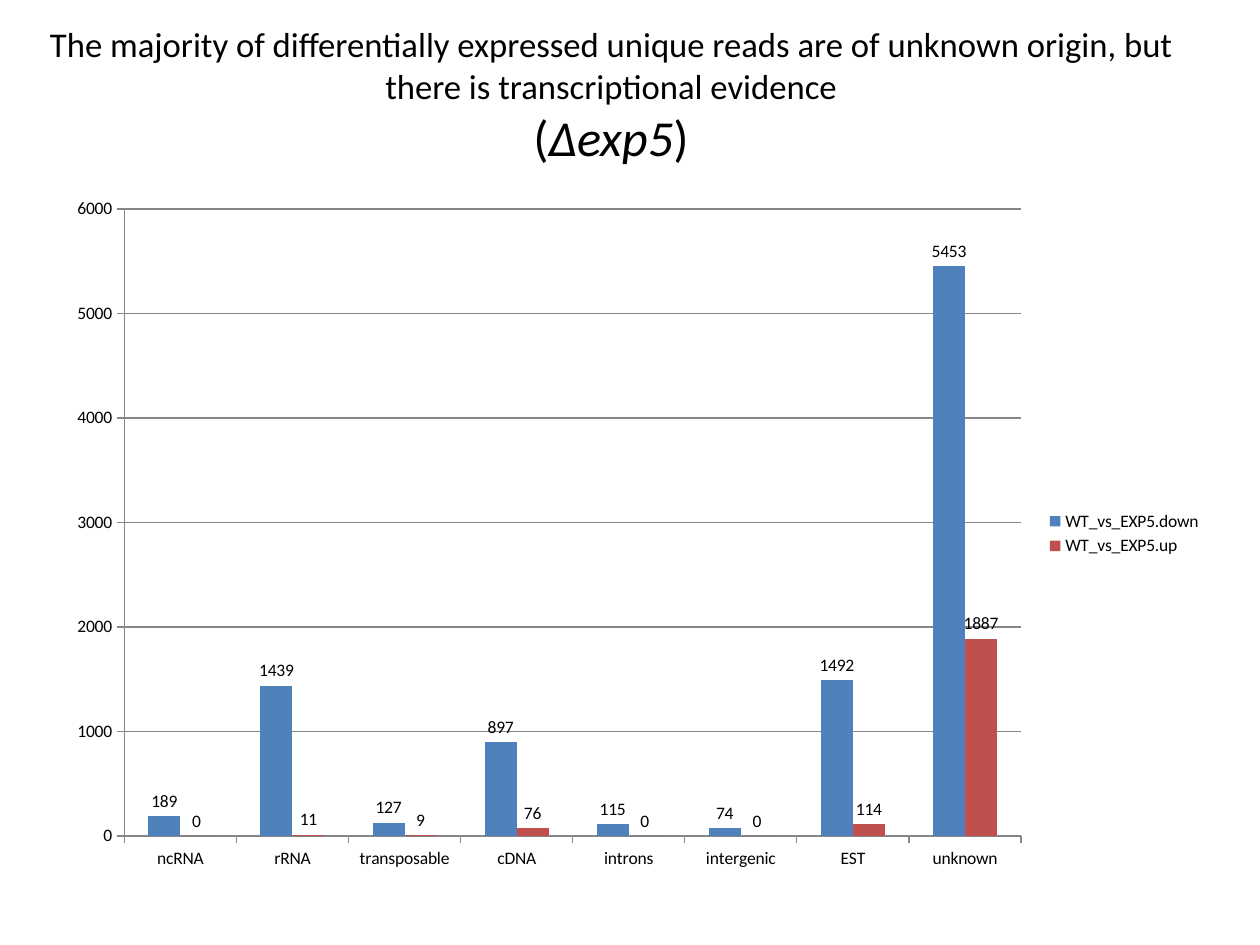
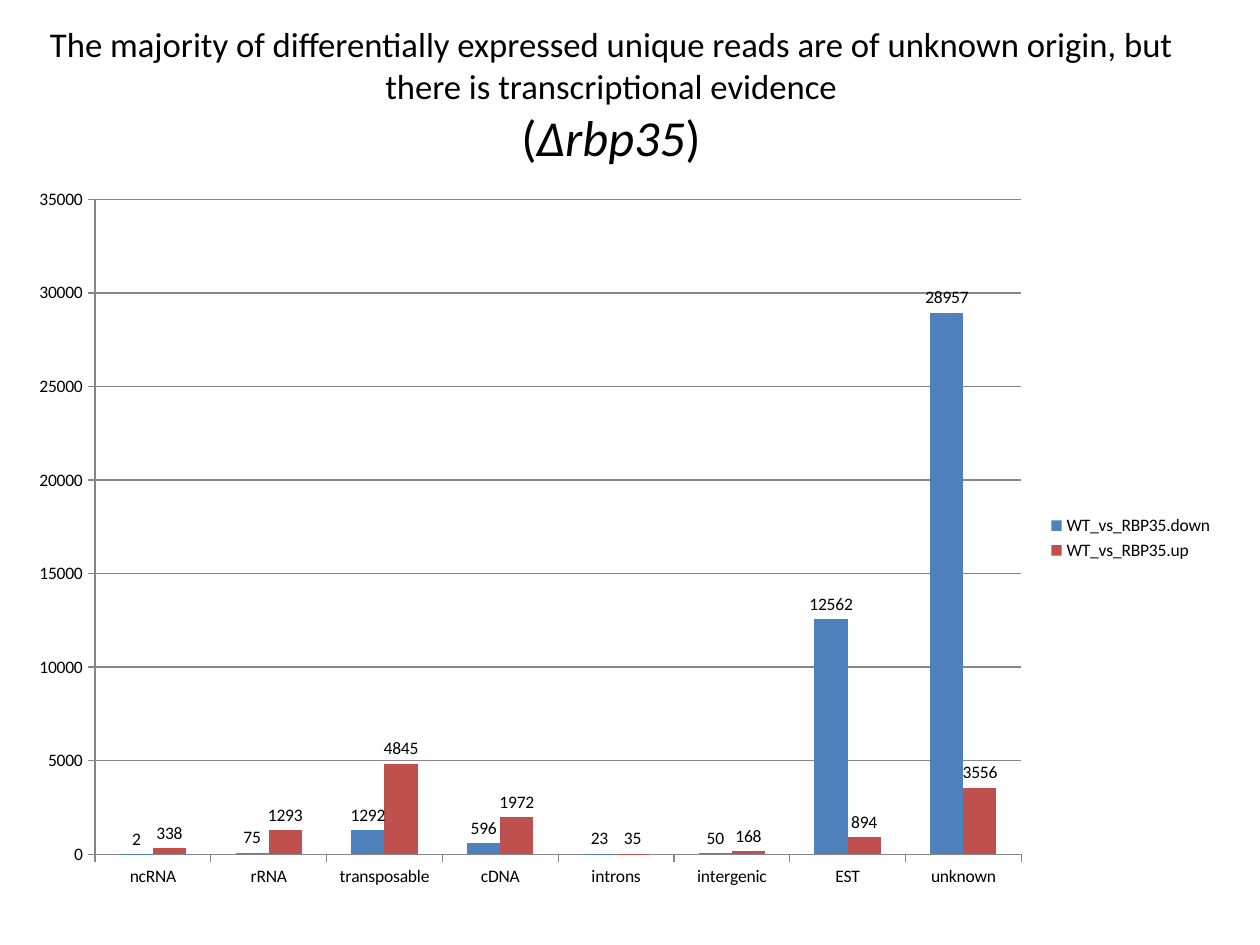
import pptx
import pptx.chart.data
import pptx.dml.color
import pptx.enum.chart
import pptx.enum.text
import pptx.util
from pptx.util import Inches

FONT = "Calibri"
COLORS = {"text": "000000", "down": "4F81BD", "up": "C0504D",
          "axis": "868686", "background": "FFFFFF"}
HEADLINE = ("The majority of differentially expressed unique reads are of "
            "unknown origin, but there is transcriptional evidence")
READ_ORIGINS = ["ncRNA", "rRNA", "transposable", "cDNA",
                "introns", "intergenic", "EST", "unknown"]
MUTANTS = [
    {"gene": "exp5", "box": (0.43, 1.47, 9.21, 5.53), "top": 6000, "step": 1000,
     "down": [189, 1439, 127, 897, 115, 74, 1492, 5453],
     "up": [0, 11, 9, 76, 0, 0, 114, 1887]},
    {"gene": "rbp35", "box": (0.12, 1.39, 9.61, 5.76), "top": 35000, "step": 5000,
     "down": [2, 75, 1292, 596, 23, 50, 12562, 28957],
     "up": [338, 1293, 4845, 1972, 35, 168, 894, 3556]},
]


def rgb(name):
    return pptx.dml.color.RGBColor.from_string(COLORS[name])


def set_font(font, size, color="text", italic=False):
    font.name = FONT
    font.size = pptx.util.Pt(size)
    font.italic = italic
    font.color.rgb = rgb(color)


def add_run(p, text, **fmt):
    r = p.add_run()
    r.text = text
    set_font(r.font, **fmt)


def add_title(s, gene):
    sp = s.shapes.add_textbox(Inches(0.2), Inches(0.13), Inches(9.3), Inches(1.25))
    tf = sp.text_frame
    tf.word_wrap = True
    tf.vertical_anchor = pptx.enum.text.MSO_ANCHOR.MIDDLE
    p = tf.paragraphs[0]
    p.alignment = pptx.enum.text.PP_ALIGN.CENTER
    add_run(p, HEADLINE, size=19.8)
    p.add_line_break()
    add_run(p, "(", size=28.8)
    add_run(p, "∆" + gene, size=28.8, italic=True)
    add_run(p, ")", size=28.8)


def style_line(line):
    line.color.rgb = rgb("axis")
    line.width = pptx.util.Pt(0.75)


def style_axes(chart, top, step):
    value_axis = chart.value_axis
    value_axis.minimum_scale = 0
    value_axis.maximum_scale = top
    value_axis.major_unit = step
    value_axis.has_major_gridlines = True
    style_line(value_axis.major_gridlines.format.line)
    for axis in (chart.category_axis, value_axis):
        axis.major_tick_mark = pptx.enum.chart.XL_TICK_MARK.OUTSIDE
        style_line(axis.format.line)


def style_series(series, color):
    series.format.fill.solid()
    series.format.fill.fore_color.rgb = rgb(color)
    series.invert_if_negative = False
    labels = series.data_labels
    labels.show_value = True
    labels.position = pptx.enum.chart.XL_LABEL_POSITION.OUTSIDE_END
    set_font(labels.font, 10)


def add_read_chart(s, mutant):
    data = pptx.chart.data.CategoryChartData()
    data.categories = READ_ORIGINS
    for direction in ("down", "up"):
        data.add_series(f"WT_vs_{mutant['gene'].upper()}.{direction}", mutant[direction])
    chart = s.shapes.add_chart(pptx.enum.chart.XL_CHART_TYPE.COLUMN_CLUSTERED,
                               *map(Inches, mutant["box"]), data).chart
    set_font(chart.font, 10)
    chart.has_title = False
    chart.has_legend = True
    chart.legend.position = pptx.enum.chart.XL_LEGEND_POSITION.RIGHT
    chart.legend.include_in_layout = False
    plot = chart.plots[0]
    plot.gap_width = 150
    plot.vary_by_categories = False
    style_axes(chart, mutant["top"], mutant["step"])
    for series, color in zip(plot.series, ("down", "up")):
        style_series(series, color)


def main():
    prs = pptx.Presentation()
    prs.slide_width, prs.slide_height = Inches(10), Inches(7.5)
    for mutant in MUTANTS:
        s = prs.slides.add_slide(prs.slide_layouts[6])
        s.background.fill.solid()
        s.background.fill.fore_color.rgb = rgb("background")
        add_title(s, mutant["gene"])
        add_read_chart(s, mutant)
    prs.save("out.pptx")


if __name__ == "__main__":
    main()
